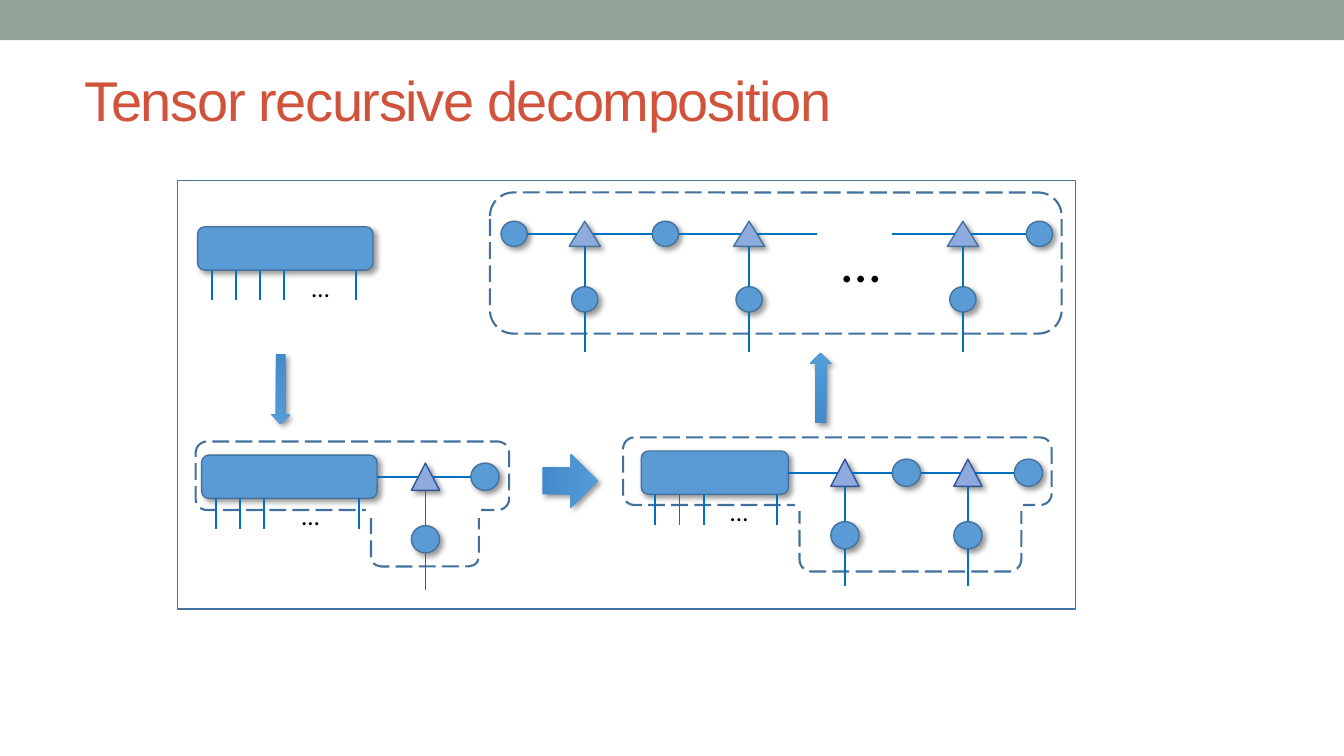
from collections import namedtuple

from lxml.etree import SubElement
from pptx import Presentation
from pptx.dml.color import RGBColor
from pptx.enum.dml import MSO_LINE
from pptx.enum.shapes import MSO_CONNECTOR, MSO_SHAPE
from pptx.enum.text import MSO_ANCHOR, PP_ALIGN
from pptx.oxml.ns import qn
from pptx.util import Inches, Pt

BAND = RGBColor(0x93, 0xA2, 0x99)
TITLE = RGBColor(0xD2, 0x53, 0x3C)
BLUE = RGBColor(0x5B, 0x9B, 0xD5)
LILAC = RGBColor(0x8F, 0xAA, 0xDC)
EDGE = RGBColor(0x43, 0x73, 0x9E)
CORE_EDGE = RGBColor(0x2F, 0x55, 0x97)
DASH = RGBColor(0x41, 0x71, 0x9C)
WIRE = RGBColor(0x00, 0x70, 0xC0)
ARROW_START = RGBColor(0x44, 0x8A, 0xCA)
ARROW_END = RGBColor(0x53, 0x9C, 0xD7)
WHITE = RGBColor(0xFF, 0xFF, 0xFF)
BLACK = RGBColor(0x00, 0x00, 0x00)

NodeSize = namedtuple("NodeSize", "ring core drop reach edge")
CHAIN_SIZE = NodeSize((0.26, 0.25), (0.31, 0.25), 0.65, 1.17, EDGE)
STEP_SIZE = NodeSize((0.28, 0.27), (0.28, 0.27), 0.62, 1.12, CORE_EDGE)
BLOCK_HEIGHT = 0.43


def cast_shadow(shape):
    effects = shape._element.spPr.find(qn("a:effectLst"))
    shadow = SubElement(effects, qn("a:outerShdw"), blurRad=str(Pt(4)), dist=str(Pt(3)),
                        dir="2700000", algn="tl", rotWithShape="0")
    color = SubElement(shadow, qn("a:srgbClr"), val="000000")
    SubElement(color, qn("a:alpha"), val="40000")


def add_shape(page, kind, left, top, width, height, fill=None, edge=None, shadow=False):
    shape = page.shapes.add_shape(kind, Inches(left), Inches(top), Inches(width), Inches(height))
    shape.shadow.inherit = False
    if shadow:
        cast_shadow(shape)
    if fill is None:
        shape.fill.background()
    else:
        shape.fill.solid()
        shape.fill.fore_color.rgb = fill
    if edge is None:
        shape.line.fill.background()
    else:
        shape.line.color.rgb = edge
        shape.line.width = Pt(1)
    return shape


def add_envelope(page, left, top, width, height):
    envelope = add_shape(page, MSO_SHAPE.ROUNDED_RECTANGLE, left, top, width, height, edge=DASH)
    envelope.line.width = Pt(1.5)
    envelope.line.dash_style = MSO_LINE.LONG_DASH


def add_wire(page, x1, y1, x2, y2):
    wire = page.shapes.add_connector(MSO_CONNECTOR.STRAIGHT, Inches(x1), Inches(y1),
                                     Inches(x2), Inches(y2))
    wire.line.color.rgb = WIRE
    wire.line.width = Pt(1.25)
    SubElement(wire._element.spPr, qn("a:effectLst"))
    return wire


def add_text(page, left, top, width, height, text, font, size, color):
    box = page.shapes.add_textbox(Inches(left), Inches(top), Inches(width), Inches(height))
    frame = box.text_frame
    frame.word_wrap = True
    frame.vertical_anchor = MSO_ANCHOR.MIDDLE
    frame.margin_left = frame.margin_right = 0
    frame.text = text
    span = frame.paragraphs[0].runs[0]
    span.font.name = font
    span.font.size = Pt(size)
    span.font.color.rgb = color
    return box


def add_dots(page, center, middle, width, height, size):
    box = add_text(page, center - width / 2, middle - height / 2, width, height,
                   "…", "Calibri", size, BLACK)
    box.text_frame.paragraphs[0].alignment = PP_ALIGN.CENTER


def add_node(page, kind, x, y, size, fill, edge):
    width, height = size
    add_shape(page, kind, x - width / 2, y - height / 2, width, height, fill, edge, True)


def add_ring(page, x, y, size):
    add_node(page, MSO_SHAPE.OVAL, x, y, size.ring, BLUE, EDGE)


def add_core(page, x, y, size):
    leaf = y + size.drop
    half_ring = size.ring[1] / 2
    add_node(page, MSO_SHAPE.ISOSCELES_TRIANGLE, x, y, size.core, LILAC, size.edge)
    add_ring(page, x, leaf, size)
    add_wire(page, x, y + size.core[1] / 2, x, leaf - half_ring)
    add_wire(page, x, leaf + half_ring, x, y + size.reach)


def add_train(page, axis, nodes, size, block=None):
    half = {"ring": size.ring[0] / 2, "core": size.core[0] / 4, "end": 0}
    for kind, x in nodes:
        if kind == "ring":
            add_ring(page, x, axis, size)
        elif kind == "core":
            add_core(page, x, axis, size)
    wires = [add_wire(page, x + half[kind], axis, next_x - half[next_kind], axis)
             for (kind, x), (next_kind, next_x) in zip(nodes, nodes[1:])]
    if block is not None:
        wires[0].begin_connect(block, 3)


def add_tensor(page, left, top, width, leg_count, last_leg, dots):
    bottom = top + BLOCK_HEIGHT
    block = add_shape(page, MSO_SHAPE.ROUNDED_RECTANGLE, left, top, width, BLOCK_HEIGHT,
                      BLUE, EDGE, True)
    for offset in [0.14 + 0.24 * leg for leg in range(leg_count)] + [last_leg]:
        add_wire(page, left + offset, bottom, left + offset, bottom + 0.3)
    add_dots(page, left + dots, bottom + 0.17, 0.28, 0.32, 18)
    return block


def add_step(page, left, top, size, tensor, pocket, nodes):
    axis = top + 0.35
    add_envelope(page, left, top, *size)
    x, y, width, height = pocket
    add_envelope(page, left + x, top + y, width, height)
    add_shape(page, MSO_SHAPE.RECTANGLE, left + x - 0.04, top + y - 0.04, width + 0.05, 0.15,
              WHITE, WHITE)
    inset, block_width, last_leg, dots = tensor
    block = add_tensor(page, left + inset, axis - BLOCK_HEIGHT / 2, block_width, 3, last_leg, dots)
    row = [("end", inset + block_width)] + nodes
    add_train(page, axis, [(kind, left + x) for kind, x in row], STEP_SIZE, block)


def add_chain(page, left, top, width, height):
    add_envelope(page, left, top, width, height)
    head = [("ring", 0.24), ("core", 0.94), ("ring", 1.74), ("core", 2.57), ("end", 3.24)]
    tail = [("end", 3.99), ("core", 4.69), ("ring", 5.45)]
    for row in (head, tail):
        add_train(page, top + 0.41, [(kind, left + x) for kind, x in row], CHAIN_SIZE)
    add_dots(page, left + 3.68, top + 0.67, 0.49, 0.77, 40)


def add_arrow(page, kind, left, top, width, height, angle):
    arrow = add_shape(page, kind, left, top, width, height, BLUE, shadow=True)
    arrow.fill.gradient()
    arrow.fill.gradient_angle = angle
    for stop, color in zip(arrow.fill.gradient_stops, (ARROW_START, ARROW_END)):
        stop.color.rgb = color


def add_heading(page, width):
    add_shape(page, MSO_SHAPE.RECTANGLE, 0, 0, width, 0.4, BAND)
    box = add_text(page, 0.6, 0.44, 12, 1.08, "Tensor recursive decomposition", "Arial", 40, TITLE)
    box.text_frame.margin_left = Inches(0.24)
    box.text_frame.paragraphs[0].runs[0].font._element.set("spc", "-100")


def add_diagram(page, left, top, width, height):
    add_shape(page, MSO_SHAPE.RECTANGLE, left, top, width, height, edge=EDGE)
    add_tensor(page, left + 0.2, top + 0.46, 1.74, 4, 1.57, 1.22)
    add_arrow(page, MSO_SHAPE.DOWN_ARROW, left + 0.93, top + 1.72, 0.19, 0.7, 270)
    add_step(page, left + 0.18, top + 2.59, (3.11, 0.68), (0.06, 1.74, 1.56, 1.08),
             (1.74, 0.64, 1.07, 0.6), [("core", 2.28), ("ring", 2.87)])
    add_arrow(page, MSO_SHAPE.RIGHT_ARROW, left + 3.62, top + 2.71, 0.55, 0.54, 0)
    add_step(page, left + 4.42, top + 2.55, (4.25, 0.67), (0.18, 1.46, 1.35, 0.97),
             (1.75, 0.61, 2.2, 0.72),
             [("core", 2.2), ("ring", 2.81), ("core", 3.42), ("ring", 4.02)])
    add_arrow(page, MSO_SHAPE.UP_ARROW, left + 6.27, top + 1.71, 0.22, 0.7, 90)
    add_chain(page, left + 3.1, top + 0.12, 5.67, 1.4)


def main():
    deck = Presentation()
    deck.slide_width = Inches(13.33)
    deck.slide_height = Inches(7.5)
    page = deck.slides.add_slide(deck.slide_layouts[6])
    add_heading(page, 13.33)
    add_diagram(page, 1.76, 1.79, 8.91, 4.25)
    deck.save("out.pptx")


if __name__ == "__main__":
    main()
